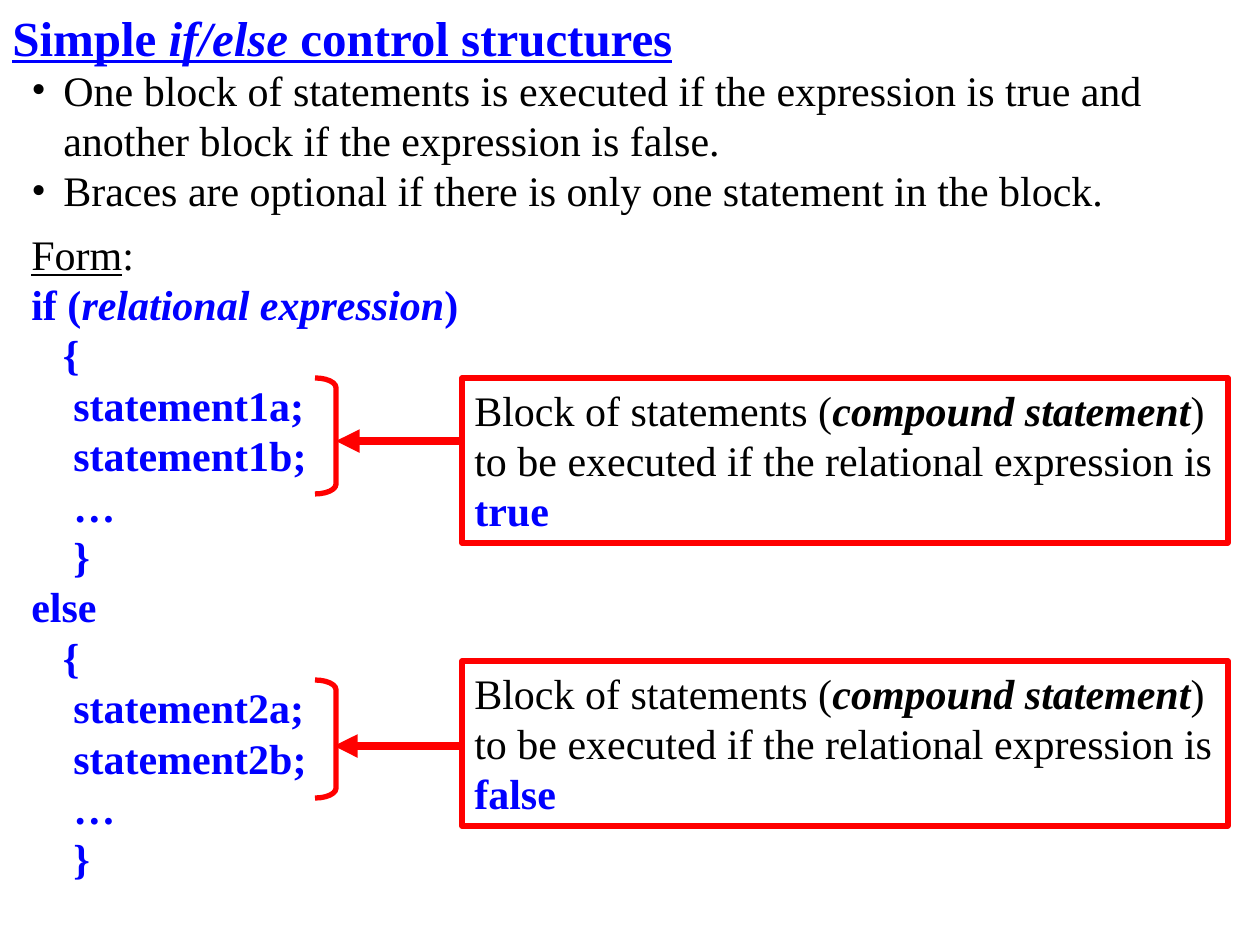
from lxml import etree
from pptx import Presentation
from pptx.dml.color import RGBColor
from pptx.enum.shapes import MSO_CONNECTOR, MSO_SHAPE
from pptx.enum.text import MSO_ANCHOR, PP_ALIGN
from pptx.oxml.ns import qn
from pptx.util import Emu, Pt

PX_PER_INCH = 126
FONT = "Times New Roman"
BLACK = RGBColor(0, 0, 0)
BLUE = RGBColor(0, 0, 255)
RED = RGBColor(255, 0, 0)

PLAIN = {"name": FONT, "size": Pt(24), "color": BLACK}
UNDERLINED = {**PLAIN, "underline": True}
EMPHASIS = {**PLAIN, "bold": True, "italic": True}
CODE = {**PLAIN, "color": BLUE, "bold": True}
CODE_ITALIC = {**CODE, "italic": True}
TITLE = {**CODE, "size": Pt(28), "underline": True}
TITLE_ITALIC = {**TITLE, "italic": True}


def px(value):
    return Emu(round(value * 914400 / PX_PER_INCH))


def add_runs(paragraph, runs):
    paragraph.alignment = PP_ALIGN.LEFT
    for text, style in runs:
        run = paragraph.add_run()
        run.text = text
        for key, value in style.items():
            if key == "color":
                run.font.color.rgb = value
            else:
                setattr(run.font, key, value)


def fill_text(shape, paragraphs, anchor=MSO_ANCHOR.TOP, wrap=True):
    frame = shape.text_frame
    frame.word_wrap = wrap
    frame.vertical_anchor = anchor
    for index, runs in enumerate(paragraphs):
        paragraph = frame.add_paragraph() if index else frame.paragraphs[0]
        add_runs(paragraph, runs)
    return frame


def add_text(slide, box, paragraphs, **options):
    shape = slide.shapes.add_textbox(*map(px, box))
    return fill_text(shape, paragraphs, **options)


def add_outline(slide, kind, box):
    shape = slide.shapes.add_shape(kind, *map(px, box))
    shape.shadow.inherit = False
    shape.fill.background()
    shape.line.color.rgb = RED
    shape.line.width = Pt(3)
    return shape


def add_arrow(slide, tip, tail, y):
    arrow = slide.shapes.add_connector(
        MSO_CONNECTOR.STRAIGHT, px(tip), px(y), px(tail), px(y))
    arrow.line.color.rgb = RED
    arrow.line.width = Pt(4.5)
    line = arrow.line._get_or_add_ln()
    etree.SubElement(line, qn("a:headEnd"), type="triangle")
    etree.SubElement(arrow._element.spPr, qn("a:effectLst"))


def add_title(slide, box):
    add_text(slide, box, [[
        ("Simple ", TITLE),
        ("if/else", TITLE_ITALIC),
        (" control structures", TITLE),
    ]], anchor=MSO_ANCHOR.MIDDLE)


def add_bullets(slide, box, items):
    frame = add_text(slide, box, [[(item, PLAIN)] for item in items])
    indent = px(32)
    for paragraph in frame.paragraphs:
        properties = paragraph._p.get_or_add_pPr()
        properties.set("marL", str(indent))
        properties.set("indent", str(-indent))
        etree.SubElement(properties, qn("a:buFont"), typeface=FONT)
        etree.SubElement(properties, qn("a:buChar"), char="•")


def code_block(number):
    lines = ["   {", f"    statement{number}a;", f"    statement{number}b;",
             "    …", "    }"]
    return [[(line, CODE)] for line in lines]


def add_form(slide, box):
    condition = [("if (", CODE), ("relational expression", CODE_ITALIC),
                 (")", CODE)]
    paragraphs = [
        [("Form", UNDERLINED), (":", PLAIN)],
        condition,
        *code_block(1),
        [("else", CODE)],
        *code_block(2),
    ]
    add_text(slide, box, paragraphs, wrap=False)


def add_callout(slide, box, outcome, arrow, bracket):
    """Explanation box at box; arrow and bracket are offsets from its corner."""
    left, top, _, _ = box
    # Explanation
    note = add_outline(slide, MSO_SHAPE.RECTANGLE, box)
    fill_text(note, [[
        ("Block of statements (", PLAIN),
        ("compound statement", EMPHASIS),
        (") to be executed if the relational expression is ", PLAIN),
        (outcome, CODE),
    ]])
    # Arrow to the statements
    tip, tail, drop = arrow
    add_arrow(slide, left + tip, left + tail, top + drop)
    # Bracket around the statements
    drop, height = bracket
    shape = add_outline(slide, MSO_SHAPE.RIGHT_BRACKET,
                        (left - 147, top + drop, 21, height))
    shape.adjustments[0] = 0.46


def main():
    presentation = Presentation()
    presentation.slide_width = px(1260)
    presentation.slide_height = px(945)
    slide = presentation.slides.add_slide(presentation.slide_layouts[6])

    add_title(slide, (0, 0, 1071, 73))
    add_form(slide, (19, 222, 452, 667))
    add_bullets(slide, (19, 58, 1210, 164), [
        "One block of statements is executed if the expression is true "
        "and another block if the expression is false.",
        "Braces are optional if there is only one statement in the block.",
    ])
    add_callout(slide, (462, 378, 766, 165), "true",
                arrow=(-126, 0, 63), bracket=(0, 116))
    add_callout(slide, (462, 661, 766, 165), "false",
                arrow=(-128, -2, 85), bracket=(19, 118))

    presentation.save("out.pptx")


if __name__ == "__main__":
    main()
